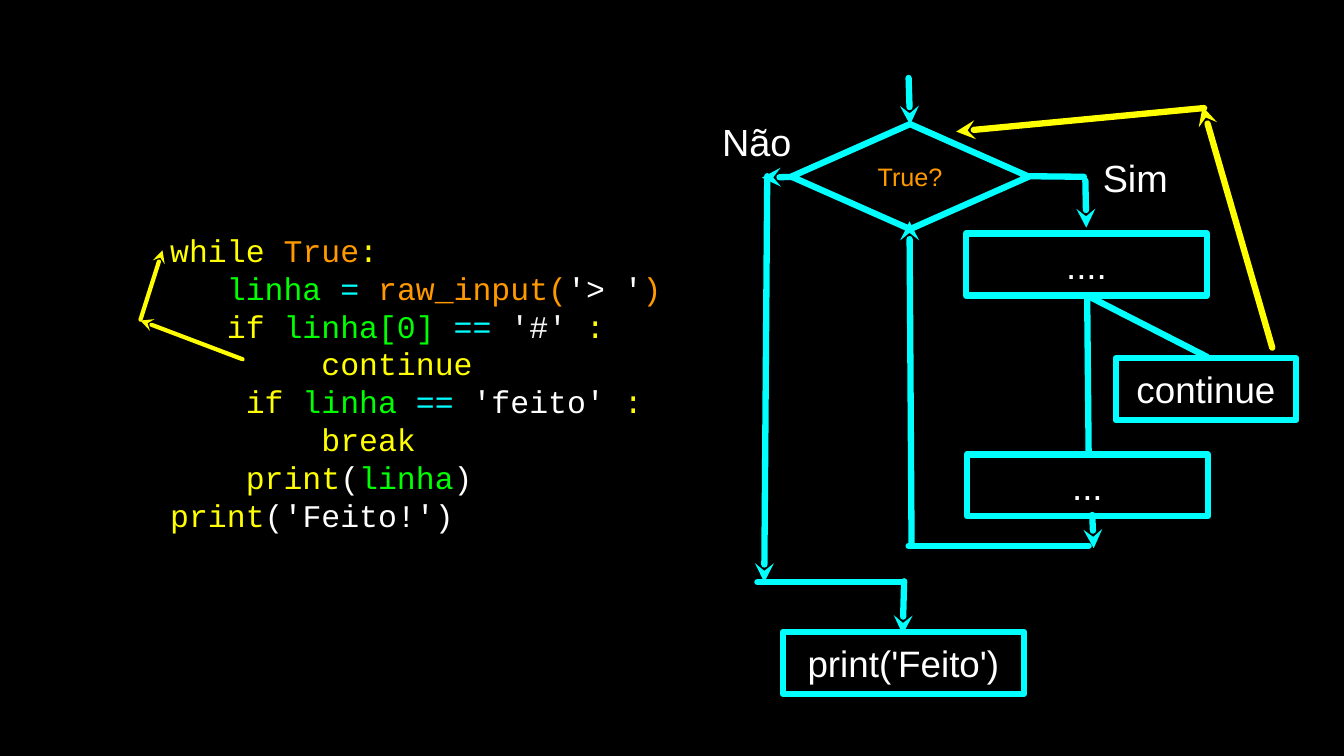
from lxml import etree
from pptx import Presentation
from pptx import util as u
from pptx.dml.color import RGBColor
from pptx.enum import shapes, text
from pptx.oxml.ns import qn

CYAN, YELLOW, ORANGE, GREEN = "00FFFF", "FFFF00", "FF9900", "00FF00"
WHITE, PALE, BLACK = "FFFFFF", "F3F3F3", "000000"
NBSP = "\u00a0"


def color(value):
    return RGBColor.from_string(value)


class Board:
    sans, mono = "Arial", "Courier New"

    def __init__(self, presentation):
        self.slide = presentation.slides.add_slide(presentation.slide_layouts[6])
        fill = self.slide.background.fill
        fill.solid()
        fill.fore_color.rgb = color(BLACK)

    def stroke(self, shape, value, width, arrow=False):
        shape.line.color.rgb = color(value)
        shape.line.width = u.Pt(width)
        line = shape._element.spPr.find(qn("a:ln"))
        line.set("cap", "rnd")
        etree.SubElement(line, qn("a:round"))
        if arrow:
            etree.SubElement(line, qn("a:tailEnd"), type="stealth")

    def frame(self, shape):
        frame = shape.text_frame
        frame.word_wrap = True
        frame.vertical_anchor = text.MSO_ANCHOR.MIDDLE
        frame.margin_left = frame.margin_right = 0
        frame.margin_top = frame.margin_bottom = 0
        return frame

    def caption(self, shape, words, size, value=WHITE):
        paragraph = self.frame(shape).paragraphs[0]
        paragraph.text = words
        paragraph.alignment = text.PP_ALIGN.CENTER
        font = paragraph.font
        font.name, font.size = self.sans, u.Pt(size)
        font.color.rgb = color(value)

    def node(self, kind, box, words, size=35, value=WHITE):
        shape = self.slide.shapes.add_shape(kind, *map(u.Cm, box))
        shape.shadow.inherit = False
        shape.fill.background()
        self.stroke(shape, CYAN, 6)
        self.caption(shape, words, size, value)

    def label(self, box, words):
        self.caption(self.slide.shapes.add_textbox(*map(u.Cm, box)), words, 36)

    def line(self, points, value=CYAN, width=6, arrow=False):
        connector = self.slide.shapes.add_connector(
            shapes.MSO_CONNECTOR.STRAIGHT, *map(u.Cm, points))
        self.stroke(connector, value, width, arrow)
        etree.SubElement(connector._element.spPr, qn("a:effectLst"))

    def code(self, box, lines):
        frame = self.frame(self.slide.shapes.add_textbox(*map(u.Cm, box)))
        for index, (indent, pieces) in enumerate(lines):
            paragraph = frame.add_paragraph() if index else frame.paragraphs[0]
            paragraph.line_spacing = u.Pt(36)
            paragraph.font.name, paragraph.font.size = self.mono, u.Pt(30)
            if indent:
                pieces = [(NBSP * (indent - 1) + " ", WHITE)] + pieces
            for words, value in pieces:
                run = paragraph.add_run()
                run.text = words
                run.font.name, run.font.size = self.mono, u.Pt(30)
                run.font.color.rgb = color(value)


presentation = Presentation()
presentation.slide_width, presentation.slide_height = u.Cm(45.16), u.Cm(25.4)
board = Board(presentation)

board.code((5.72, 6.68, 17.48, 12.32), [
    (0, [("while ", YELLOW), ("True", ORANGE), (":", YELLOW)]),
    (3, [("linha ", GREEN), ("= ", CYAN), ("raw_input(", ORANGE),
         ("'> '", WHITE), (")", ORANGE)]),
    (3, [("if ", YELLOW), ("linha[0] ", GREEN), ("== ", CYAN),
         ("'#' ", PALE), (":", YELLOW)]),
    (8, [("continue", YELLOW)]),
    (4, [("if ", YELLOW), ("linha ", GREEN), ("== ", CYAN),
         ("'feito' ", WHITE), (":", YELLOW)]),
    (8, [("break", YELLOW)]),
    (4, [("print", YELLOW), ("(", WHITE), ("linha", GREEN), (")", WHITE)]),
    (0, [("print", YELLOW), ("('Feito!')", WHITE)]),
])
for points in [(8.15, 12.07, 4.72, 10.77), (4.72, 10.74, 5.46, 8.41)]:
    board.line(points, YELLOW, 4, arrow=True)

board.node(shapes.MSO_SHAPE.DIAMOND, (26.59, 4.17, 7.98, 3.53), "True?", 24, ORANGE)
for left, top, width, words in [
    (32.46, 7.85, 8.1, "...."),
    (32.49, 15.27, 8.1, "..."),
    (37.49, 12.04, 6.07, "continue"),
    (26.31, 21.23, 8.1, "print('Feito')"),
]:
    board.node(shapes.MSO_SHAPE.RECTANGLE, (left, top, width, 2.08), words)
board.label((24.16, 3.84, 2.54, 1.83), "Não")
board.label((36.93, 5.08, 2.44, 1.73), "Sim")

for points in [
    (34.54, 5.92, 36.42, 5.94),
    (36.53, 9.93, 40.56, 11.99),
    (36.53, 9.93, 36.58, 15.27),
    (36.58, 18.34, 30.53, 18.34),
    (25.45, 19.56, 30.33, 19.56),
]:
    board.line(points)
for points in [
    (30.53, 2.62, 30.58, 4.19),
    (36.47, 6.07, 36.5, 7.65),
    (36.7, 17.3, 36.75, 18.42),
    (30.63, 18.34, 30.56, 7.44),
    (26.72, 5.94, 25.6, 5.97),
    (25.78, 5.92, 25.68, 19.56),
    (30.38, 19.53, 30.33, 21.31),
]:
    board.line(points, arrow=True)
for points in [(42.75, 11.68, 40.41, 3.58), (40.46, 3.63, 32.13, 4.42)]:
    board.line(points, YELLOW, arrow=True)

presentation.save("out.pptx")
